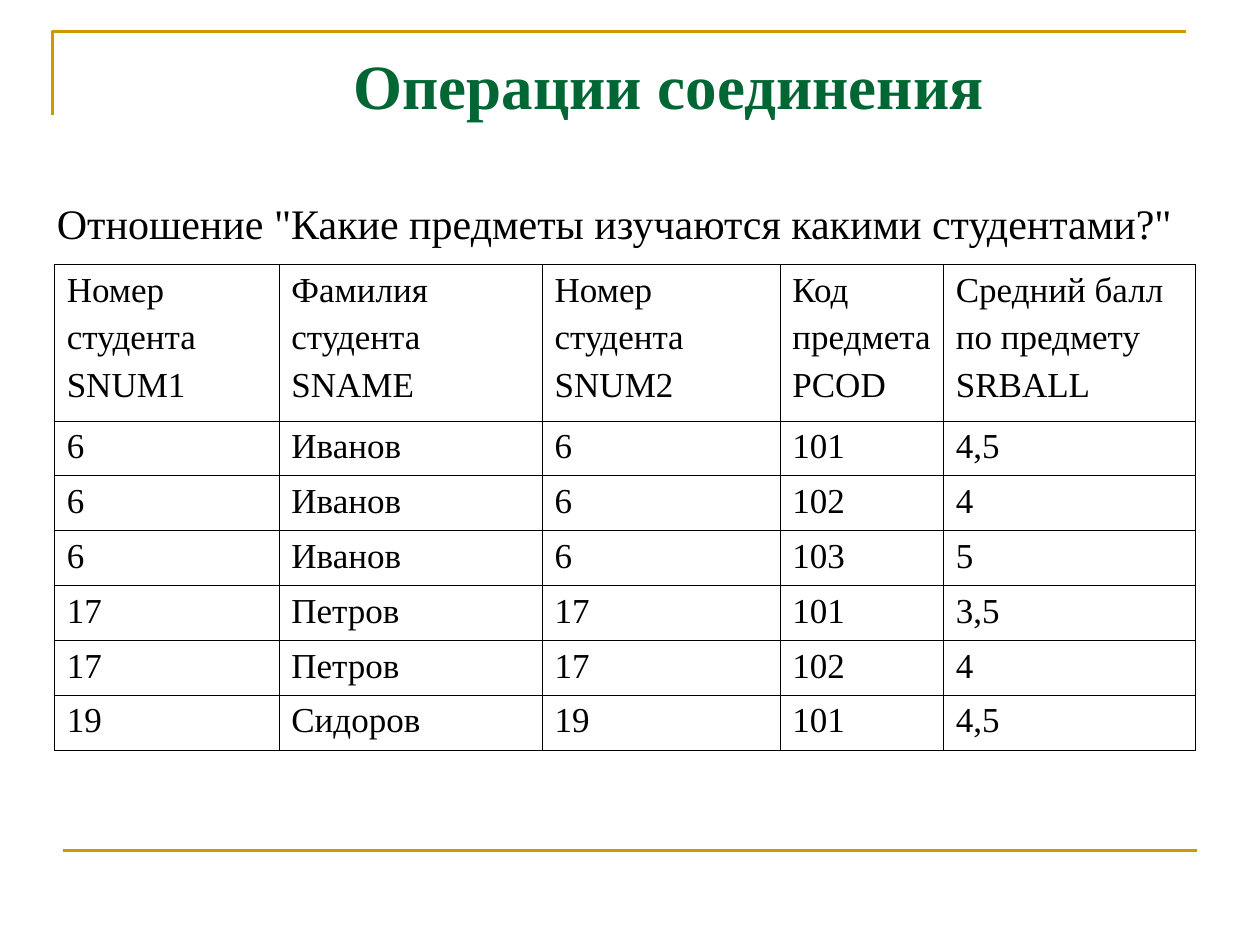
from dataclasses import dataclass
from pptx import Presentation
from pptx.dml.color import RGBColor as Rgb
from pptx.enum.shapes import MSO_CONNECTOR as Link
from pptx.enum.text import MSO_ANCHOR as Anchor, PP_ALIGN as Align
from pptx.oxml import parse_xml
from pptx.oxml.ns import nsdecls
from pptx.util import Inches, Pt


@dataclass(frozen=True)
class Theme:
    font: str = "Times New Roman"
    gold: str = "CC9900"
    green: str = "006633"
    ink: str = "000000"
    title: int = 36
    lead: int = 24
    body: int = 20
    rule: float = 1.5
    edge: float = 0.34


theme = Theme()
deck = Presentation()
deck.slide_width, deck.slide_height = Inches(10), Inches(7.5)
slide = deck.slides.add_slide(deck.slide_layouts[6])
shapes = slide.shapes
unit = deck.slide_width / 100


def grid(*steps):
    """Turn steps of a grid of 100 columns by 75 rows into lengths."""
    return [round(step * unit) for step in steps]


def write(para, text, size, color, bold=False):
    run = para.add_run()
    run.text = text
    font = run.font
    font.name, font.size, font.bold = theme.font, Pt(size), bold
    font.color.rgb = Rgb.from_string(color)


# Corner and foot rules
left, top, right, low = grid(4.17, 2.5, 94.17, 9.17)
pen = shapes.build_freeform(left, low, scale=1.0)
pen.add_line_segments([(left, top), (right, top)], close=False)
corner = pen.convert_to_shape()
corner.fill.background()
corner.shadow.inherit = False
foot = shapes.add_connector(Link.STRAIGHT, *grid(5, 67.5, 95, 67.5))
foot._element.spPr.append(parse_xml(f"<a:effectLst {nsdecls('a')}/>"))
for rule in (corner, foot):
    rule.line.color.rgb = Rgb.from_string(theme.gold)
    rule.line.width = Pt(theme.rule)

# Table of students and subjects
head = [
    ("Номер", "студента", "SNUM1"),
    ("Фамилия", "студента", "SNAME"),
    ("Номер", "студента", "SNUM2"),
    ("Код", "предмета", "PCOD"),
    ("Средний балл", "по предмету", "SRBALL"),
]
marks = [
    ("6", "Иванов", "101", "4,5"),
    ("6", "Иванов", "102", "4"),
    ("6", "Иванов", "103", "5"),
    ("17", "Петров", "101", "3,5"),
    ("17", "Петров", "102", "4"),
    ("19", "Сидоров", "101", "4,5"),
]
rows = [head] + [
    [(num,), (name,), (num,), (code,), (mark,)] for num, name, code, mark in marks
]
cols = grid(17.83, 20.9, 18.87, 12.97, 20)
tall = grid(12.4, *[4.36] * len(marks))
table = shapes.add_table(
    len(rows), len(cols), *grid(4.3, 21), sum(cols), sum(tall)
).table
table.first_row = table.horz_banding = False
for col, size in zip(table.columns, cols):
    col.width = size
for row, size in zip(table.rows, tall):
    row.height = size

for r, row in enumerate(rows):
    for c, lines in enumerate(row):
        cell = table.cell(r, c)
        props = cell._tc.get_or_add_tcPr()
        for side in ("lnL", "lnR", "lnT", "lnB"):
            props.append(parse_xml(
                f'<a:{side} {nsdecls("a")} w="{Pt(theme.edge)}"><a:solidFill>'
                f'<a:srgbClr val="{theme.ink}"/></a:solidFill></a:{side}>'
            ))
        cell.fill.background()
        frame = cell.text_frame
        # Room for the widest heading, which fills its column
        cell.margin_right = grid(0.9)[0]
        for n, line in enumerate(lines):
            para = frame.add_paragraph() if n else frame.paragraphs[0]
            para.alignment = Align.JUSTIFY if r else Align.LEFT
            if n:
                para.space_before = Pt(5)
            write(para, line, theme.body, theme.ink)

# Title and lead line
frame = shapes.add_textbox(*grid(3.53, 3.2, 98.4, 17)).text_frame
frame.word_wrap = True
frame.vertical_anchor = Anchor.MIDDLE
title = frame.paragraphs[0]
title.alignment = Align.CENTER
title._p.get_or_add_pPr().set("marL", str(Pt(5)))
write(title, "Операции соединения", theme.title, theme.green, bold=True)
lead = frame.add_paragraph()
lead.alignment = Align.LEFT
lead.space_before = Pt(theme.title * 1.2)
write(lead, 'Отношение "Какие предметы изучаются какими студентами?"',
      theme.lead, theme.ink)

deck.save("out.pptx")
